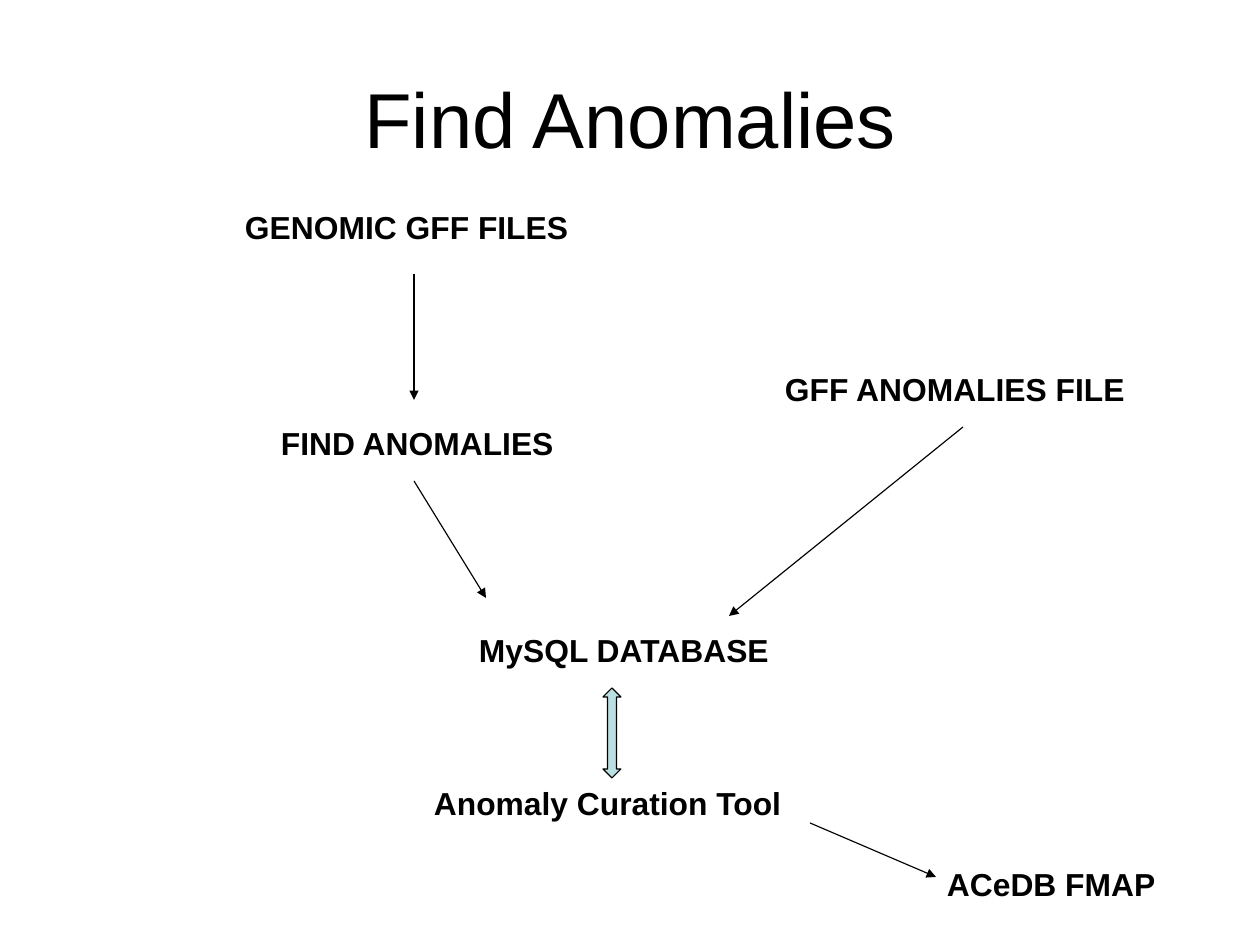
from dataclasses import dataclass

from lxml.etree import SubElement
from pptx import Presentation
from pptx.dml.color import RGBColor
from pptx.enum.shapes import MSO_CONNECTOR, MSO_SHAPE
from pptx.enum.text import MSO_ANCHOR, MSO_AUTO_SIZE, PP_ALIGN
from pptx.oxml.ns import qn
from pptx.slide import Slide
from pptx.text.text import TextFrame
from pptx.util import Emu, Pt

EMU_PER_PX = 8000
BLACK = RGBColor(0x00, 0x00, 0x00)
WHITE = RGBColor(0xFF, 0xFF, 0xFF)
PALE_TEAL = RGBColor(0xBB, 0xE0, 0xE3)
FONT = "Arial"
LINE_WIDTH = Pt(0.75)
LABEL_HEIGHT = 50


@dataclass(frozen=True)
class Label:
    text: str
    left: int
    top: int
    width: int


@dataclass(frozen=True)
class Arrow:
    x1: int
    y1: int
    x2: int
    y2: int


LABELS = [
    Label("GENOMIC GFF FILES", 234, 202, 522),
    Label("FIND ANOMALIES", 270, 418, 306),
    Label("MySQL DATABASE", 468, 625, 621),
    Label("GFF ANOMALIES FILE", 774, 364, 397),
    Label("Anomaly Curation Tool", 423, 778, 423),
    Label("ACeDB FMAP", 936, 859, 261),
]

ARROWS = [
    Arrow(414, 274, 414, 400),
    Arrow(414, 481, 486, 598),
    Arrow(963, 427, 729, 616),
    Arrow(810, 823, 936, 877),
]


def px(n: int) -> Emu:
    return Emu(n * EMU_PER_PX)


def write(tf: TextFrame, text: str, *, size: int, bold: bool = False,
          align: PP_ALIGN = PP_ALIGN.LEFT, anchor: MSO_ANCHOR = MSO_ANCHOR.TOP,
          inset_x: int = 11, inset_y: int = 6,
          auto_size: MSO_AUTO_SIZE = MSO_AUTO_SIZE.NONE) -> None:
    tf.word_wrap = True
    tf.auto_size = auto_size
    tf.vertical_anchor = anchor
    tf.margin_left = tf.margin_right = px(inset_x)
    tf.margin_top = tf.margin_bottom = px(inset_y)
    p = tf.paragraphs[0]
    p.alignment = align
    r = p.add_run()
    r.text = text
    r.font.name = FONT
    r.font.size = Pt(size)
    r.font.bold = bold
    r.font.color.rgb = BLACK


def add_title(s: Slide, text: str) -> None:
    sp = s.shapes.title
    sp.left, sp.top, sp.width, sp.height = px(63), px(38), px(1134), px(158)
    write(sp.text_frame, text, size=49, align=PP_ALIGN.CENTER,
          anchor=MSO_ANCHOR.MIDDLE, inset_x=13, inset_y=7)


def add_label(s: Slide, label: Label) -> None:
    sp = s.shapes.add_textbox(px(label.left), px(label.top),
                              px(label.width), px(LABEL_HEIGHT))
    write(sp.text_frame, label.text, size=20, bold=True,
          auto_size=MSO_AUTO_SIZE.SHAPE_TO_FIT_TEXT)


def add_arrow(s: Slide, arrow: Arrow) -> None:
    cxn = s.shapes.add_connector(MSO_CONNECTOR.STRAIGHT, px(arrow.x1), px(arrow.y1),
                                 px(arrow.x2), px(arrow.y2))
    cxn.line.color.rgb = BLACK
    cxn.line.width = LINE_WIDTH
    SubElement(cxn.line._get_or_add_ln(), qn("a:tailEnd"), type="triangle")
    SubElement(cxn._element.spPr, qn("a:effectLst"))


def add_exchange_arrow(s: Slide) -> None:
    sp = s.shapes.add_shape(MSO_SHAPE.UP_DOWN_ARROW, px(603), px(688), px(18), px(90))
    sp.shadow.inherit = False
    sp.adjustments[0] = 0.99
    sp.adjustments[1] = 0.5
    sp.fill.solid()
    sp.fill.fore_color.rgb = PALE_TEAL
    sp.line.color.rgb = BLACK
    sp.line.width = LINE_WIDTH


def main() -> None:
    prs = Presentation()
    prs.slide_width, prs.slide_height = px(1260), px(945)
    s = prs.slides.add_slide(prs.slide_layouts[5])
    s.background.fill.solid()
    s.background.fill.fore_color.rgb = WHITE
    add_title(s, "Find Anomalies")
    for label in LABELS:
        add_label(s, label)
    for arrow in ARROWS:
        add_arrow(s, arrow)
    add_exchange_arrow(s)
    prs.save("out.pptx")


if __name__ == "__main__":
    main()
